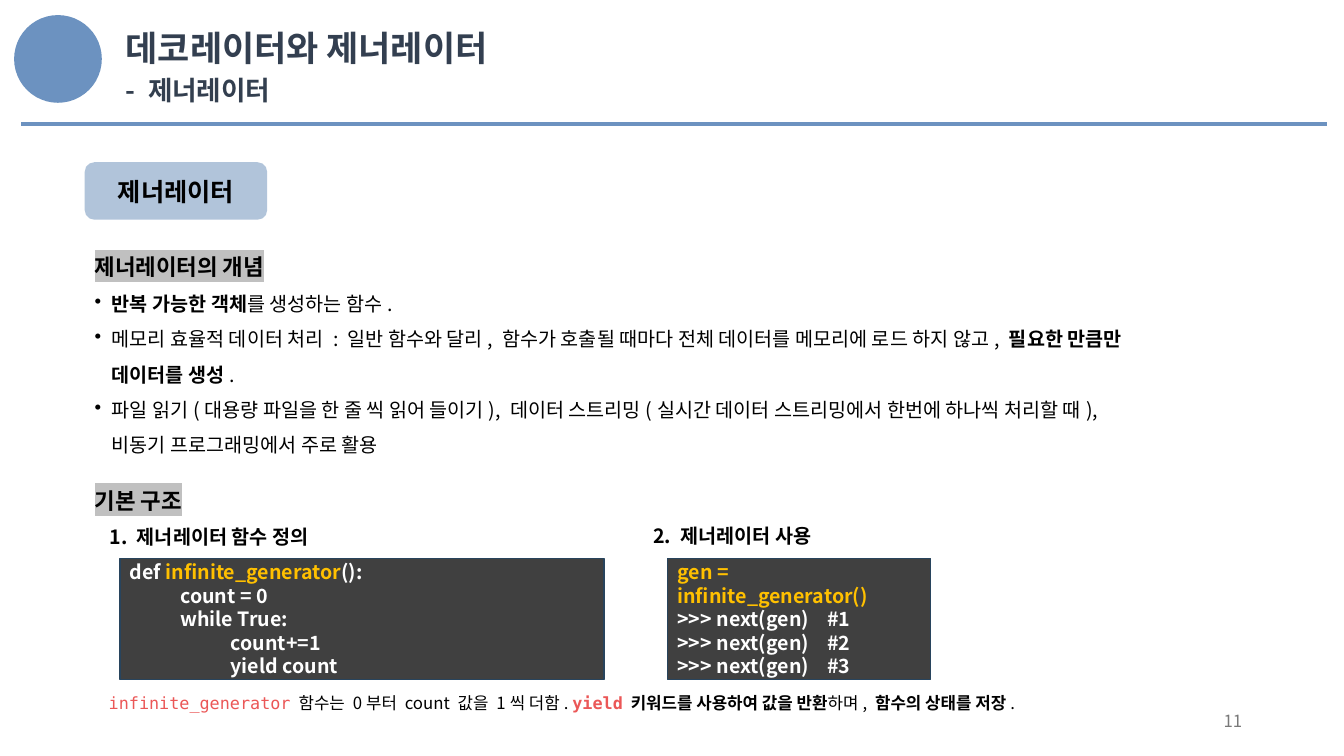
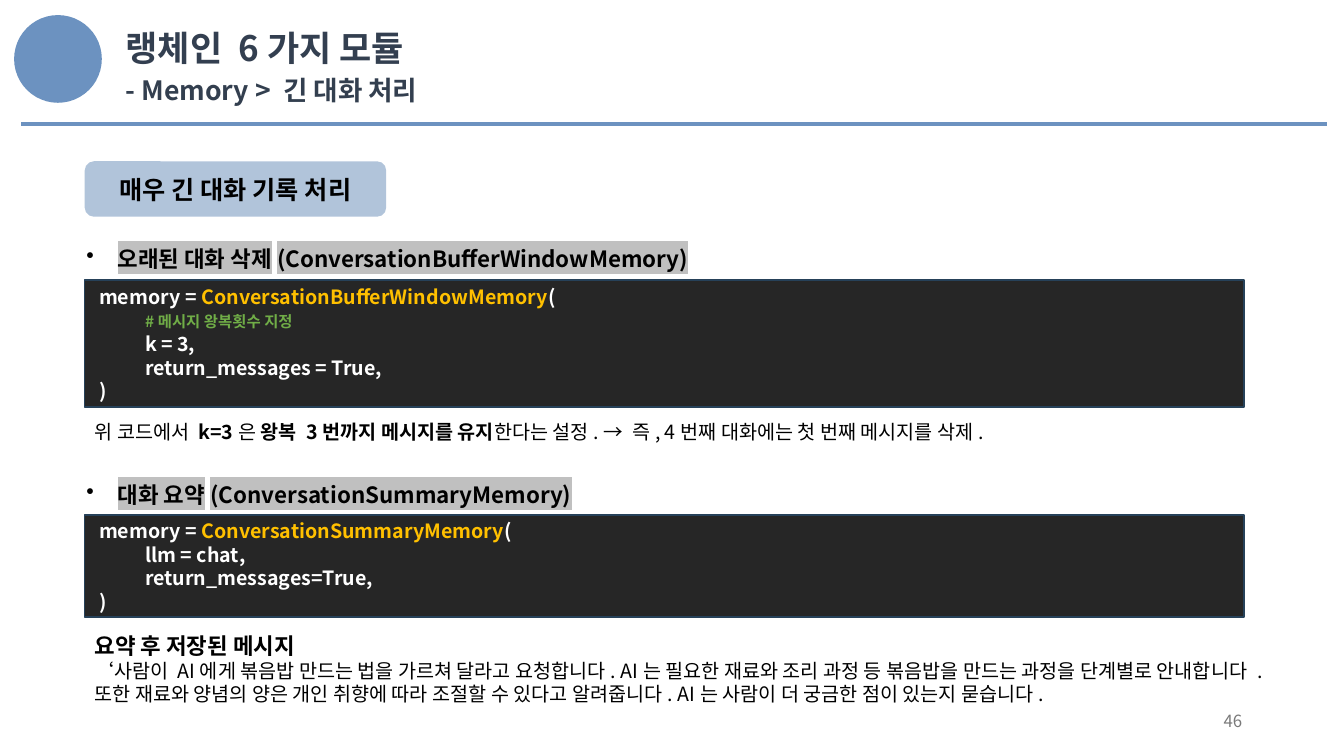
from copy import deepcopy
from dataclasses import dataclass

from lxml import etree
from pptx import Presentation
from pptx.dml.color import RGBColor
from pptx.enum.shapes import MSO_CONNECTOR, MSO_SHAPE
from pptx.enum.text import MSO_ANCHOR, PP_ALIGN
from pptx.oxml.ns import qn
from pptx.util import Pt

PX = 9144
LEFT, CENTER, RIGHT = PP_ALIGN.LEFT, PP_ALIGN.CENTER, PP_ALIGN.RIGHT
TOP, MIDDLE = MSO_ANCHOR.TOP, MSO_ANCHOR.MIDDLE
ELLIPSE, RECTANGLE = MSO_SHAPE.OVAL, MSO_SHAPE.RECTANGLE
BADGE = MSO_SHAPE.FLOWCHART_ALTERNATE_PROCESS
STRAIGHT = MSO_CONNECTOR.STRAIGHT


@dataclass(frozen=True)
class Theme:
    title_font: str = "Noto Sans CJK KR"
    body_font: str = "Noto Sans CJK SC"
    mono_font: str = "DejaVu Sans Mono"
    title_size: int = 25
    subtitle_size: int = 19
    badge_size: int = 18
    heading_size: int = 16
    body_size: int = 14
    small_size: int = 12
    comment_size: int = 11
    accent: str = "6C92C0"
    badge: str = "90ABCB"
    badge_alpha: int = 70
    title: str = "333F50"
    subtitle: str = "333F4F"
    text: str = "000000"
    code_text: str = "FFFFFF"
    code_name: str = "FFC000"
    code_comment: str = "70AD47"
    keyword: str = "EB5757"
    highlight: str = "C0C0C0"
    number: str = "797979"


@dataclass
class Run:
    text: str
    bold: bool = False
    size: int = Theme.body_size
    color: str = Theme.text
    font: str = Theme.body_font
    highlight: str = ""


@dataclass
class Line:
    runs: list
    spacing: float = 1.0
    indent: int = 0
    hanging: int = 0
    before: int = 0
    align: int = LEFT


theme = Theme()


def write(shape, lines, anchor=TOP):
    frame = shape.text_frame
    frame.word_wrap = True
    frame.vertical_anchor = anchor
    for index, line in enumerate(lines):
        paragraph = frame.paragraphs[0] if index == 0 else frame.add_paragraph()
        paragraph.alignment = line.align
        paragraph.line_spacing = line.spacing
        if line.before:
            paragraph.space_before = Pt(line.before)
        properties = paragraph._p.get_or_add_pPr()
        if line.indent:
            properties.set("marL", str(line.indent * PX))
            properties.set("indent", str(-line.hanging * PX))
        if line.hanging:
            etree.SubElement(properties, qn("a:buChar")).set("char", "•")
        for item in line.runs:
            for part, text in enumerate(item.text.split("\n")):
                if part:
                    paragraph.add_line_break()
                    paragraph._p[-1].append(deepcopy(run._r.rPr))
                run = paragraph.add_run()
                run.text = text
                run.font.size = Pt(item.size)
                run.font.bold = item.bold
                run.font.color.rgb = RGBColor.from_string(item.color)
                run_properties = run._r.get_or_add_rPr()
                if item.highlight:
                    marker = etree.SubElement(run_properties, qn("a:highlight"))
                    etree.SubElement(marker, qn("a:srgbClr")).set("val", item.highlight)
                for script in ("a:latin", "a:ea", "a:cs"):
                    etree.SubElement(run_properties, qn(script)).set("typeface", item.font)


def add_filled(slide, kind, box, fill, outline=None):
    shape = slide.shapes.add_shape(kind, *(value * PX for value in box))
    shape.shadow.inherit = False
    shape.fill.solid()
    shape.fill.fore_color.rgb = RGBColor.from_string(fill)
    if outline:
        shape.line.color.rgb = RGBColor.from_string(outline)
        shape.line.width = Pt(1)
    else:
        shape.line.fill.background()
    return shape


heading = {"bold": True, "size": theme.heading_size, "highlight": theme.highlight}
code = {"bold": True, "color": theme.code_text}
name = {"bold": True, "color": theme.code_name}
comment = {"bold": True, "size": theme.comment_size, "color": theme.code_comment}
keyword = {"size": theme.small_size, "color": theme.keyword, "font": theme.mono_font}
small = {"size": theme.small_size}
bullet = {"spacing": 1.5, "indent": 17, "hanging": 17}
heading_bullet = {"spacing": 1.5, "indent": 31, "hanging": 31}

pages = [
    {
        "title": "데코레이터와 제너레이터",
        "subtitle": "- 제너레이터",
        "badge": ("제너레이터", (84, 161, 181, 57)),
        "number": "11",
        "code_colors": ("404040", "28445D"),
        "texts": [
            ((84, 233, 1158, 321), [
                Line([Run("제너레이터의 개념", **heading)], spacing=1.5),
                Line([Run("반복 가능한 객체", bold=True), Run("를 생성하는 함수.")], **bullet),
                Line([
                    Run("메모리 효율적 데이터 처리 : 일반 함수와 달리, 함수가 호출될 때마다 "
                        "전체 데이터를 메모리에 로드 하지 않고, "),
                    Run("필요한 만큼만\n데이터를 생성", bold=True),
                    Run("."),
                ], **bullet),
                Line([
                    Run("파일 읽기(대용량 파일을 한 줄 씩 읽어 들이기), 데이터 스트리밍"
                        "(실시간 데이터 스트리밍에서 한번에 하나씩 처리할 때),\n"
                        "비동기 프로그래밍에서 주로 활용"),
                ], **bullet),
                Line([Run("기본 구조", **heading)], spacing=1.5, before=12),
                Line([Run("1. 제너레이터 함수 정의", bold=True)], spacing=1.5, indent=15),
            ]),
            ((638, 515, 214, 34), [Line([Run("2. 제너레이터 사용", bold=True)])]),
            ((98, 682, 978, 30), [Line([
                Run("infinite_generator", **keyword),
                Run(" 함수는 0부터 count 값을 1씩 더함. ", **small),
                Run("yield", bold=True, **keyword),
                Run(" 키워드를 사용하여 값을 반환", bold=True, **small),
                Run("하며, ", **small),
                Run("함수의 상태를 저장", bold=True, **small),
                Run(".", **small),
            ])]),
        ],
        "codes": [
            ((119, 554, 480, 120), [
                Line([Run("def ", **code), Run("infinite_generator", **name), Run("():", **code)]),
                Line([Run("\tcount = 0", **code)]),
                Line([Run("\twhile True:", **code)]),
                Line([Run("\t\tcount+=1", **code)]),
                Line([Run("\t\tyield count", **code)]),
            ]),
            ((662, 554, 261, 120), [
                Line([Run("gen = infinite_generator()", **name)]),
                *(Line([Run(f">>> next(gen)    #{call}", **code)]) for call in (1, 2, 3)),
            ]),
        ],
    },
    {
        "title": "랭체인 6가지 모듈",
        "subtitle": "- Memory > 긴 대화 처리",
        "badge": ("매우 긴 대화 기록 처리", (84, 160, 299, 55)),
        "number": "46",
        "code_colors": ("262626", "264159"),
        "texts": [
            ((76, 225, 1173, 46), [
                Line([Run("오래된 대화 삭제(ConversationBufferWindowMemory)", **heading)],
                     **heading_bullet),
            ]),
            ((84, 400, 1173, 42), [Line([
                Run("위 코드에서 "),
                Run("k=3", bold=True),
                Run("은 "),
                Run("왕복 3번까지 메시지를 유지", bold=True),
                Run("한다는 설정. → 즉, 4번째 대화에는 첫 번째 메시지를 삭제."),
            ], spacing=1.5)]),
            ((76, 459, 1173, 46), [
                Line([Run("대화 요약(ConversationSummaryMemory)", **heading)], **heading_bullet),
            ]),
            ((84, 622, 1173, 84), [
                Line([Run("요약 후 저장된 메시지", bold=True, size=theme.heading_size)]),
                Line([Run("‘사람이 AI에게 볶음밥 만드는 법을 가르쳐 달라고 요청합니다. "
                          "AI는 필요한 재료와 조리 과정 등 볶음밥을 만드는 과정을 단계별로 안내합니다 "
                          ".또한 재료와 양념의 양은 개인 취향에 따라 조절할 수 있다고 알려줍니다. "
                          "AI는 사람이 더 궁금한 점이 있는지 묻습니다.")]),
            ]),
        ],
        "codes": [
            ((84, 278, 1150, 126), [
                Line([Run(" memory = ", **code), Run("ConversationBufferWindowMemory", **name),
                      Run("(", **code)]),
                Line([Run("\t", **code), Run("#메시지 왕복횟수 지정", **comment)]),
                Line([Run("\tk = 3,", **code)]),
                Line([Run("\treturn_messages = True,", **code)]),
                Line([Run(" )", **code)]),
            ]),
            ((84, 511, 1150, 101), [
                Line([Run(" memory = ", **code), Run("ConversationSummaryMemory", **name),
                      Run("(", **code)]),
                Line([Run("\tllm = chat,", **code)]),
                Line([Run("\treturn_messages=True,", **code)]),
                Line([Run(" )", **code)]),
            ]),
        ],
    },
]

presentation = Presentation()
presentation.slide_width = 1333 * PX
presentation.slide_height = 750 * PX

for page in pages:
    slide = presentation.slides.add_slide(presentation.slide_layouts[6])

    add_filled(slide, ELLIPSE, (14, 15, 87, 87), theme.accent)
    rule = slide.shapes.add_connector(STRAIGHT, 21 * PX, 123 * PX, 1316 * PX, 123 * PX)
    rule.line.color.rgb = RGBColor.from_string(theme.accent)
    rule.line.width = Pt(3)
    etree.SubElement(rule._element.spPr, qn("a:effectLst"))

    badge_text, badge_box = page["badge"]
    badge = add_filled(slide, BADGE, badge_box, theme.badge)
    badge_color = badge._element.spPr.find(f"{qn('a:solidFill')}/{qn('a:srgbClr')}")
    etree.SubElement(badge_color, qn("a:alpha")).set("val", str(theme.badge_alpha * 1000))
    write(badge, [Line([Run(badge_text, True, theme.badge_size)], align=CENTER)], MIDDLE)

    title = Run(page["title"], True, theme.title_size, theme.title, theme.title_font)
    subtitle = Run(page["subtitle"], True, theme.subtitle_size, theme.subtitle, theme.title_font)
    number = Run(page["number"], size=theme.small_size, color=theme.number)
    shared_texts = [
        ((115, 21, 1000, 46), [Line([title])], TOP),
        ((115, 68, 1000, 40), [Line([subtitle])], TOP),
        ((942, 695, 300, 40), [Line([number], align=RIGHT)], MIDDLE),
    ]
    page_texts = [(box, lines, TOP) for box, lines in page["texts"]]
    for box, lines, anchor in shared_texts + page_texts:
        text_box = slide.shapes.add_textbox(*(value * PX for value in box))
        write(text_box, lines, anchor)

    for box, lines in page["codes"]:
        panel = add_filled(slide, RECTANGLE, box, *page["code_colors"])
        write(panel, lines, MIDDLE)

presentation.save("out.pptx")
